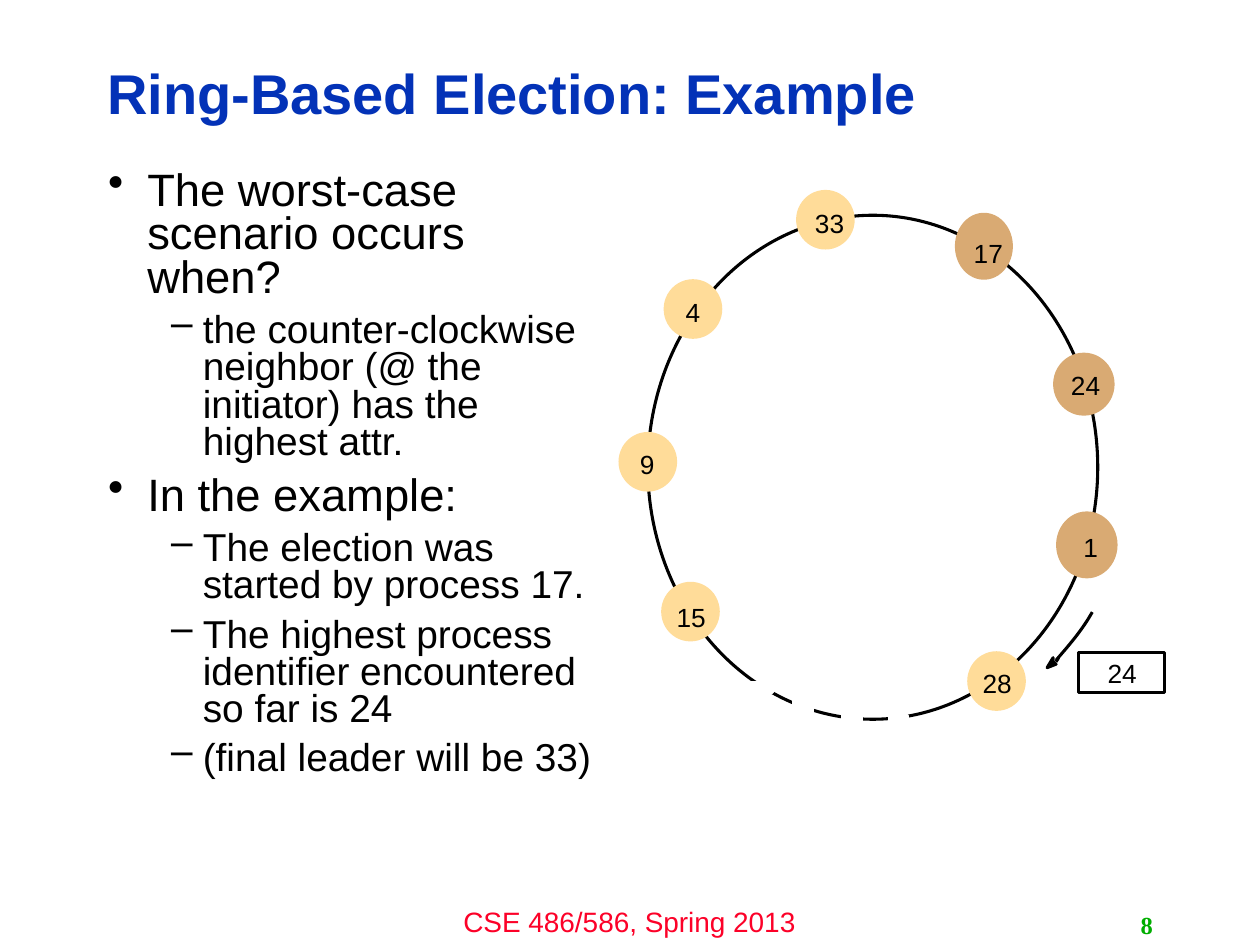
import pptx
import pptx.dml.color
import pptx.enum.shapes
import pptx.enum.text
import pptx.oxml.ns
import pptx.util
from lxml import etree

Cm = pptx.util.Cm
Pt = pptx.util.Pt
SHAPES = pptx.enum.shapes.MSO_SHAPE
ALIGN = pptx.enum.text.PP_ALIGN
ANCHOR = pptx.enum.text.MSO_ANCHOR

BLACK, WHITE = "000000", "FFFFFF"
WAITING, VISITED = "FFDC99", "D9AA73"
LINE_WIDTH = 1.75

# Process, colour, circle (left, top, width, height), label (left, top), in cm
NODES = [
    ("9", WAITING, (12.5, 8.74, 1.12, 1.14), (12.9, 9.04)),
    ("15", WAITING, (13.36, 11.76, 1.12, 1.14), (13.64, 12.12)),
    ("4", WAITING, (13.41, 5.66, 1.12, 1.14), (13.82, 5.97)),
    ("33", WAITING, (16.08, 3.86, 1.12, 1.14), (16.43, 4.17)),
    ("28", WAITING, (19.53, 13.16, 1.12, 1.14), (19.81, 13.46)),
    ("17", VISITED, (19.25, 4.29, 1.17, 1.35), (19.63, 4.78)),
    ("24", VISITED, (21.23, 7.11, 1.24, 1.27), (21.59, 7.44)),
    ("1", VISITED, (21.29, 10.31, 1.24, 1.35), (21.84, 10.72)),
]

# White patches that break the ring where processes are left out
RING_GAPS = [
    (15.14, 13.77, 0.43, 0.2),
    (16, 14.1, 0.38, 0.27),
    (16.99, 14.43, 0.38, 0.15),
    (17.93, 14.43, 0.36, 0.2),
]

BODY = [
    (0, "The worst-case scenario occurs when?"),
    (1, "the counter-clockwise neighbor (@ the initiator) has the highest attr."),
    (0, "In the example:"),
    (1, "The election was started by process 17."),
    (1, "The highest process identifier encountered so far is 24"),
    (1, "(final leader will be 33)"),
]
# Per level: bullet, text size, left margin and hanging indent in cm
LEVELS = [("•", 25.9, 0.79, 0.79), ("–", 22.2, 1.91, 0.64)]


def rgb(value):
    return pptx.dml.color.RGBColor.from_string(value)


def paint(shape, fill=None, line=None):
    shape.shadow.inherit = False
    if fill:
        shape.fill.solid()
        shape.fill.fore_color.rgb = rgb(fill)
    else:
        shape.fill.background()
    if line:
        shape.line.color.rgb = rgb(line)
        shape.line.width = Pt(LINE_WIDTH)
    else:
        shape.line.fill.background()


def add_preset(page, kind, place, **colours):
    shape = page.shapes.add_shape(kind, *map(Cm, place))
    paint(shape, **colours)
    return shape


def add_outline(page, points, closed, **colours):
    points = [(Cm(x), Cm(y)) for x, y in points]
    builder = page.shapes.build_freeform(*points[0])
    builder.add_line_segments(points[1:], close=closed)
    paint(builder.convert_to_shape(), **colours)


def add_span(para, text, size=15, font="Arial", colour=BLACK, bold=False):
    span = para.add_run()
    span.text = text
    span.font.size = Pt(size)
    span.font.name = font
    span.font.color.rgb = rgb(colour)
    span.font.bold = bold


def add_text(page, place, text, align=ALIGN.LEFT, anchor=ANCHOR.TOP,
             spacing=None, wrap=True, **style):
    box = page.shapes.add_textbox(*map(Cm, place))
    frame = box.text_frame
    frame.word_wrap = wrap
    frame.vertical_anchor = anchor
    para = frame.paragraphs[0]
    para.alignment = align
    if spacing:
        para.line_spacing = spacing
    add_span(para, text, **style)
    return frame


def add_label(page, text, left, top):
    width = 0.74 if len(text) > 1 else 0.48
    frame = add_text(page, (left, top, width, 0.81), text, wrap=False)
    frame.auto_size = pptx.enum.text.MSO_AUTO_SIZE.SHAPE_TO_FIT_TEXT
    frame.margin_left = frame.margin_right = 0
    frame.margin_top = frame.margin_bottom = 0


def add_body(page):
    box = page.shapes.add_textbox(Cm(1.93), Cm(3.33), Cm(10.46), Cm(13.69))
    frame = box.text_frame
    frame.word_wrap = True
    for number, (level, text) in enumerate(BODY):
        bullet, size, margin, hanging = LEVELS[level]
        para = frame.add_paragraph() if number else frame.paragraphs[0]
        para.level = level
        para.line_spacing = 0.8
        para.space_before = Pt(round(0.3 * size, 1))
        add_span(para, text, size=size)
        # Bullet and hanging indent
        props = para._p.get_or_add_pPr()
        props.set("marL", str(Cm(margin)))
        props.set("indent", str(-Cm(hanging)))
        mark = etree.SubElement(props, pptx.oxml.ns.qn("a:buChar"))
        mark.set("char", bullet)


def add_line(page, start, end):
    line = page.shapes.add_connector(
        pptx.enum.shapes.MSO_CONNECTOR.STRAIGHT, *map(Cm, start + end))
    line.line.color.rgb = rgb(BLACK)
    line.line.width = Pt(LINE_WIDTH)
    etree.SubElement(line._element.spPr, pptx.oxml.ns.qn("a:effectLst"))


def curve_points(a, b, c, d, steps=12):
    """Points along a cubic curve from a to d with controls b and c."""
    points = []
    for step in range(steps + 1):
        t = step / steps
        u = 1 - t
        weights = (u ** 3, 3 * u * u * t, 3 * u * t * t, t ** 3)
        points.append(tuple(
            sum(w * p[axis] for w, p in zip(weights, (a, b, c, d)))
            for axis in (0, 1)))
    return points


def add_ring(page):
    add_preset(page, SHAPES.OVAL, (13.06, 4.34, 9.07, 10.16), line=BLACK)
    for place in RING_GAPS:
        add_preset(page, SHAPES.RECTANGLE, place, fill=WHITE, line=WHITE)
    for text, colour, place, label in NODES:
        edge = colour if colour == WAITING else None
        add_preset(page, SHAPES.OVAL, place, fill=colour, line=edge)
        add_label(page, text, *label)


def add_message(page):
    # Box with the identifier that is passed on
    add_preset(page, SHAPES.RECTANGLE, (21.74, 13.16, 1.73, 0.81),
               fill=WHITE, line=BLACK)
    add_label(page, "24", 22.33, 13.26)
    # Curved arrow along the ring
    arc = curve_points((22.02, 12.34), (21.82, 12.7), (21.56, 13), (21.29, 13.31))
    add_outline(page, arc, False, line=BLACK)
    add_line(page, (21.34, 13.26), (21.29, 13.34))
    head = [(21.23, 13.34), (21.29, 13.39), (21.11, 13.46), (21.23, 13.26)]
    add_outline(page, head, True, fill=BLACK, line=BLACK)


def main():
    deck = pptx.Presentation()
    deck.slide_width, deck.slide_height = Cm(25.4), Cm(19.05)
    page = deck.slides.add_slide(deck.slide_layouts[6])

    # Title and body text
    add_text(page, (1.91, 0.91, 20.27, 2.06), "Ring-Based Election: Example",
             anchor=ANCHOR.MIDDLE, spacing=0.9, size=32, colour="0332B7", bold=True)
    add_body(page)

    # Diagram
    add_ring(page)
    add_message(page)

    # Footer and page number
    add_text(page, (8.46, 18.11, 8.46, 0.94), "CSE 486/586, Spring 2013",
             align=ALIGN.CENTER, size=16, colour="FC0128")
    add_text(page, (18.21, 18.24, 5.28, 0.81), "8", align=ALIGN.RIGHT,
             anchor=ANCHOR.MIDDLE, size=14, font="Times New Roman",
             colour="00AE00", bold=True)

    deck.save("out.pptx")


if __name__ == "__main__":
    main()
